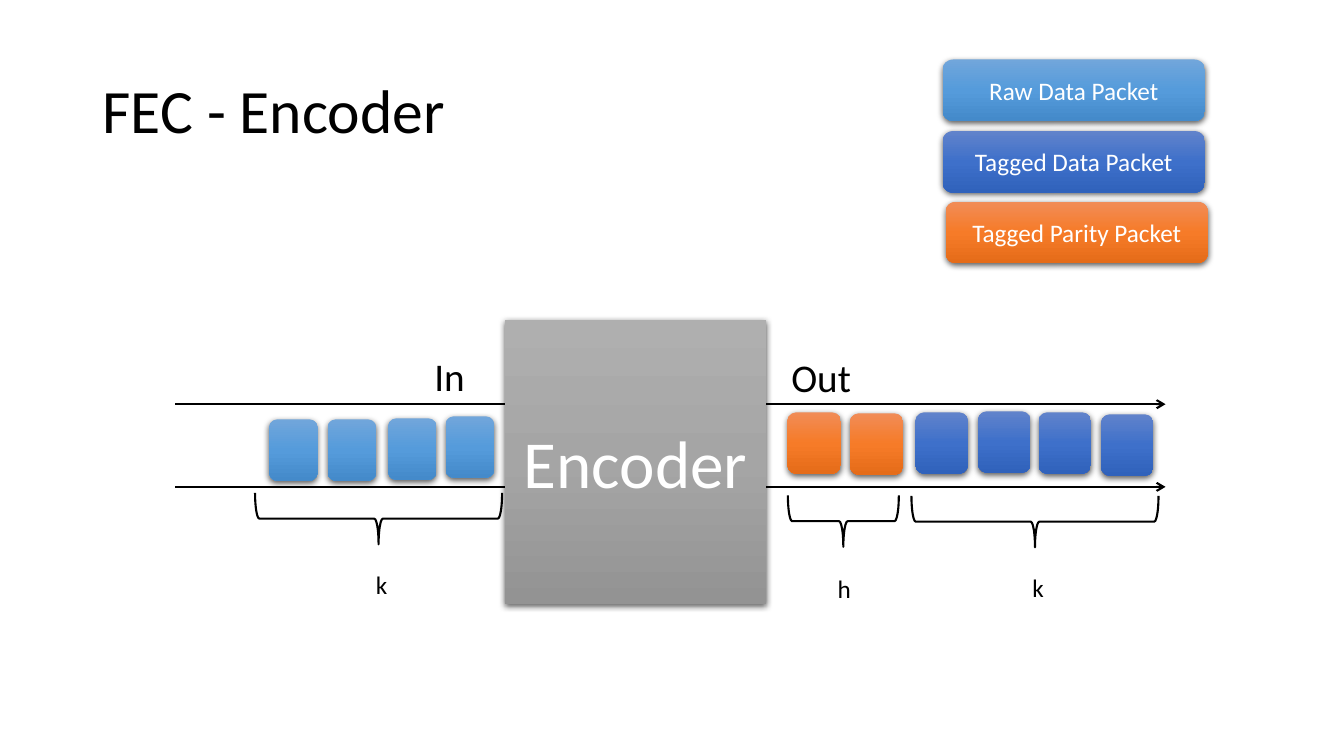
from lxml import etree
from pptx import Presentation
from pptx.dml.color import RGBColor
from pptx.enum.shapes import MSO_CONNECTOR, MSO_SHAPE
from pptx.enum.text import MSO_ANCHOR, PP_ALIGN
from pptx.oxml.ns import qn
from pptx.util import Inches, Pt

ROUND = MSO_SHAPE.ROUNDED_RECTANGLE
RECT = MSO_SHAPE.RECTANGLE
BRACE = MSO_SHAPE.LEFT_BRACE
LINE = MSO_CONNECTOR.STRAIGHT
LEFT, MID, JUST = PP_ALIGN.LEFT, PP_ALIGN.CENTER, PP_ALIGN.JUSTIFY
TOP, CENTER = MSO_ANCHOR.TOP, MSO_ANCHOR.MIDDLE

RAW = ("71A6DB", "559BDB", "448ACA")
DATA = ("6183CB", "3E70CA", "3062BB")
PARITY = ("F18C57", "F67B28", "E56C19")
GRAY = ("AFAFAF", "A5A5A5", "939393")
BLACK, WHITE = "000000", "FFFFFF"


def rgb(code):
    return RGBColor.from_string(code)


def add(parent, tag, **attrs):
    return etree.SubElement(parent, qn(tag), attrs)


def write(frame, text, size=18, color=BLACK, align=LEFT, anchor=TOP,
          wrap=True, space=None):
    frame.word_wrap = wrap
    frame.vertical_anchor = anchor
    para = frame.paragraphs[0]
    para.alignment = align
    para.line_spacing = space
    run = para.add_run()
    run.text = text
    run.font.name = "Calibri"
    run.font.size = Pt(size)
    run.font.color.rgb = rgb(color)


class Deck:
    def __init__(self):
        self.prs = Presentation()
        self.prs.slide_width = Inches(13.33)
        self.prs.slide_height = Inches(7.5)
        self.slide = self.prs.slides.add_slide(self.prs.slide_layouts[6])
        self.shapes = self.slide.shapes
        self.width = Pt(1.5)

    def text(self, box, text, **form):
        shape = self.shapes.add_textbox(*map(Inches, box))
        write(shape.text_frame, text, **form)

    def block(self, box, tones, kind=ROUND, text="", size=18):
        shape = self.shapes.add_shape(kind, *map(Inches, box))
        shape.fill.gradient()
        shape.fill.gradient_angle = 270
        stops = shape.element.spPr.find(".//" + qn("a:gsLst"))
        stops.clear()
        for i, tone in enumerate(tones):
            stop = add(stops, "a:gs", pos=str(i * 50000))
            add(stop, "a:srgbClr", val=tone)
        shape.line.fill.background()
        self.shade(shape)
        if text:
            write(shape.text_frame, text, size=size, color=WHITE,
                  align=MID, anchor=CENTER)

    def shade(self, shape):
        shape.shadow.inherit = False
        effects = shape.element.spPr.find(qn("a:effectLst"))
        shadow = add(effects, "a:outerShdw", blurRad=str(Pt(4.5)),
                     dist=str(Pt(1.5)), dir="5400000", algn="ctr",
                     rotWithShape="0")
        tint = add(shadow, "a:srgbClr", val=BLACK)
        add(tint, "a:alpha", val="63000")

    def brace(self, box):
        shape = self.shapes.add_shape(BRACE, *map(Inches, box))
        shape.rotation = 270
        shape.shadow.inherit = False
        shape.fill.background()
        shape.line.color.rgb = rgb(BLACK)
        shape.line.width = self.width

    def arrow(self, left, right, y):
        ends = map(Inches, (left, y, right, y))
        line = self.shapes.add_connector(LINE, *ends)
        line.line.color.rgb = rgb(BLACK)
        line.line.width = self.width
        add(line.line._get_or_add_ln(), "a:tailEnd", type="arrow")
        add(line.element.spPr, "a:effectLst")


def main():
    deck = Deck()
    deck.text((0.92, 0.4, 11.5, 1.45), "FEC - Encoder", size=44,
              anchor=CENTER, space=0.9)

    legend = [
        (9.35, 0.59, RAW, "Raw Data Packet"),
        (9.35, 1.3, DATA, "Tagged Data Packet"),
        (9.38, 2, PARITY, "Tagged Parity Packet"),
    ]
    for x, y, tones, label in legend:
        deck.block((x, y, 2.6, 0.61), tones, text=label)

    for y in (4.01, 4.83):
        deck.arrow(1.74, 11.56, y)
    deck.block((5.01, 3.17, 2.59, 2.82), GRAY, RECT, "Encoder", 48)

    packets = [
        (RAW, 0.48, [(2.67, 4.16), (3.25, 4.16), (3.85, 4.15), (4.42, 4.13)]),
        (PARITY, 0.53, [(7.81, 4.09), (8.43, 4.1)]),
        (DATA, 0.52, [(9.08, 4.09), (9.7, 4.08), (10.3, 4.09), (10.92, 4.11)]),
    ]
    for tones, wide, spots in packets:
        for x, y in spots:
            deck.block((x, y, wide, 0.61), tones)

    groups = [
        (3.5, 3.92, 2.45, "k", 3.63, 5.6),
        (8.11, 4.62, 1.1, "h", 8.21, 5.64),
        (10.01, 3.95, 2.45, "k", 10.14, 5.63),
    ]
    for x, y, span, count, left, top in groups:
        deck.brace((x, y, 0.51, span))
        deck.text((left, top, 0.33, 0.4), count, wrap=False)

    deck.text((4.21, 3.45, 0.63, 0.57), "In", size=28, align=JUST)
    deck.text((7.75, 3.46, 0.9, 0.57), "Out", size=28, align=JUST)
    deck.prs.save("out.pptx")


if __name__ == "__main__":
    main()
